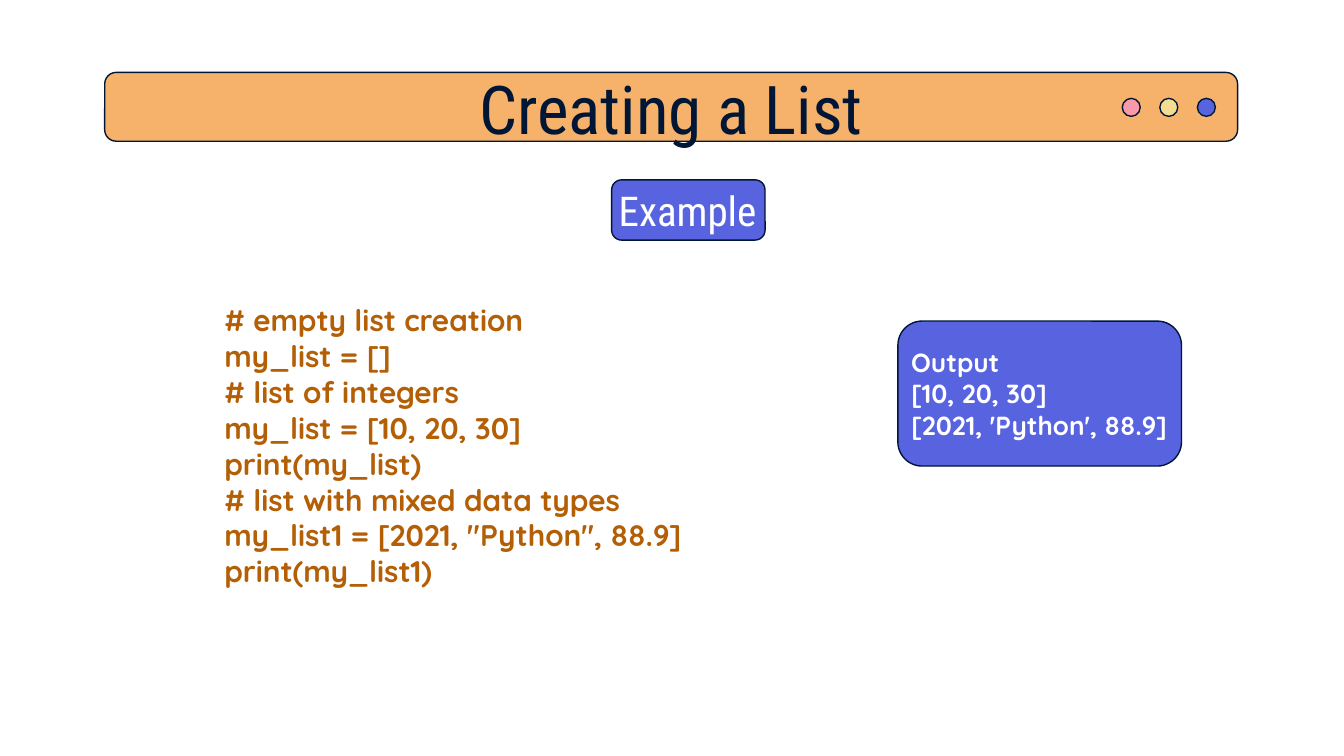
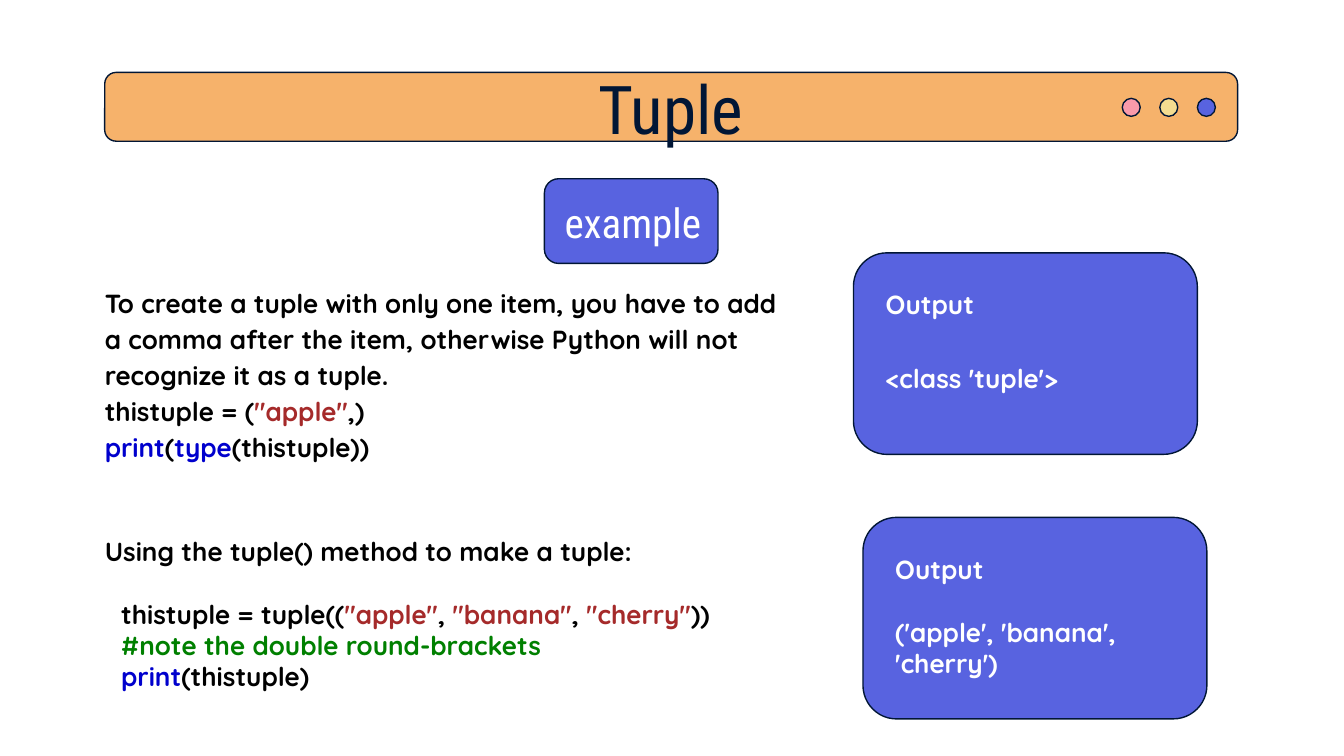
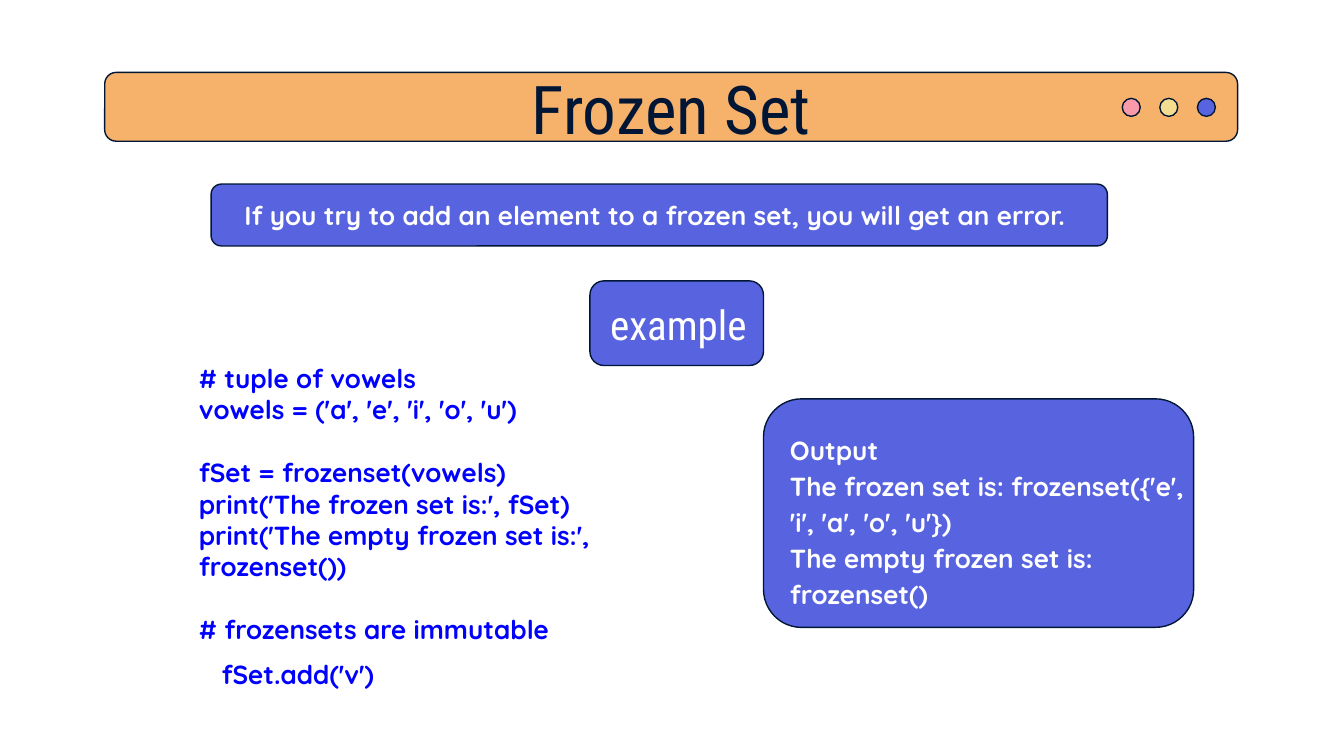
import dataclasses

import pptx
import pptx.dml.color
import pptx.enum.shapes
import pptx.enum.text
import pptx.oxml.ns
import pptx.util
from lxml import etree

Cm = pptx.util.Cm
Pt = pptx.util.Pt
SHAPES = pptx.enum.shapes.MSO_SHAPE
ANCHOR = pptx.enum.text.MSO_ANCHOR
ALIGN = pptx.enum.text.PP_ALIGN


@dataclasses.dataclass(frozen=True)
class Theme:
    """Colours, fonts and type sizes of the deck."""
    ink: str = "011635"
    band: str = "F6B26B"
    panel: str = "5863E0"
    pink: str = "F99AAA"
    yellow: str = "F4DC90"
    white: str = "FFFFFF"
    black: str = "000000"
    brown: str = "B45F06"
    blue: str = "0000FF"
    keyword: str = "0000CD"
    string: str = "A52A2A"
    comment: str = "008000"
    heading_font: str = "Roboto Condensed"
    text_font: str = "Quicksand"
    title_size: int = 36
    label_size: int = 22
    code_size: int = 16
    text_size: int = 14
    outline: float = 0.75
    gap: float = 16.8
    inset: float = 0.25


@dataclasses.dataclass(frozen=True)
class Box:
    """A rectangle in centimetres."""
    left: float
    top: float
    width: float
    height: float

    def inside(self, dx, dy, width, height):
        """Return a box offset from this one's corner."""
        return Box(self.left + dx, self.top + dy, width, height)

    def lengths(self):
        """Return left, top, width and height as lengths."""
        return [Cm(value) for value in dataclasses.astuple(self)]


@dataclasses.dataclass(frozen=True)
class Line:
    """One paragraph: a string, or spans of (text, colour)."""
    content: object
    spacing: float = 1.0
    before: float = 0
    after: float = 0
    indent: float = 0


@dataclasses.dataclass(frozen=True)
class Style:
    """Type and placement of a block of text."""
    font: str
    size: int
    colour: str
    bold: bool = False
    align: object = ALIGN.LEFT
    anchor: object = ANCHOR.TOP
    insets: tuple = (0, 0, 0, 0)
    wrap: bool = True


THEME = Theme()
BAND = Box(1.98, 1.37, 21.41, 1.3)
PADDED = (THEME.inset,) * 4
TITLE = Style(THEME.heading_font, THEME.title_size, THEME.ink,
              align=ALIGN.CENTER, anchor=ANCHOR.MIDDLE)
LABEL = Style(THEME.heading_font, THEME.label_size, THEME.white,
              anchor=ANCHOR.MIDDLE, insets=(0.2, 0, 0, 0), wrap=False)
LABEL_CENTRED = dataclasses.replace(LABEL, align=ALIGN.CENTER, wrap=True)
OUTPUT = Style(THEME.text_font, THEME.text_size, THEME.white, True, insets=PADDED)
NOTE = dataclasses.replace(OUTPUT, align=ALIGN.JUSTIFY, anchor=ANCHOR.MIDDLE,
                           insets=(0.2, 0, 0, 0))
LIST_CODE = dataclasses.replace(OUTPUT, size=THEME.code_size, colour=THEME.brown)
SET_CODE = dataclasses.replace(OUTPUT, colour=THEME.blue)
TUPLE_TEXT = dataclasses.replace(OUTPUT, colour=THEME.black, insets=(0, 0.4, 0, 0))


def rgb(value):
    """Turn a hex string into a colour."""
    return pptx.dml.color.RGBColor.from_string(value)


def place(shape, box):
    """Move and size a shape to a box."""
    shape.left, shape.top, shape.width, shape.height = box.lengths()


def write_line(para, line, style):
    """Fill one paragraph with its spans and format it."""
    para.alignment = style.align
    para.line_spacing = line.spacing
    para.space_before = Pt(line.before)
    para.space_after = Pt(line.after)
    para.font.name = style.font
    para.font.size = Pt(style.size)
    para.font.bold = style.bold
    para.font.color.rgb = rgb(style.colour)
    spans = [(line.content, None)] if isinstance(line.content, str) else line.content
    for text, colour in spans:
        if text == "\n":
            para.add_line_break()
            continue
        span = para.add_run()
        span.text = text
        if colour:
            span.font.color.rgb = rgb(colour)


def clear_bullet(para, indent):
    """Remove the bullet of a paragraph and set its left indent."""
    props = para._p.get_or_add_pPr()
    props.set("marL", str(int(Cm(indent))))
    props.set("indent", "0")
    bullet = etree.Element(pptx.oxml.ns.qn("a:buNone"))
    props.find(pptx.oxml.ns.qn("a:spcAft")).addnext(bullet)


def write(shape, box, lines, style):
    """Place a text shape and write its lines."""
    place(shape, box)
    frame = shape.text_frame
    frame.word_wrap = style.wrap
    frame.auto_size = pptx.enum.text.MSO_AUTO_SIZE.NONE
    frame.vertical_anchor = style.anchor
    (frame.margin_left, frame.margin_top,
     frame.margin_right, frame.margin_bottom) = [Cm(value) for value in style.insets]
    for number, line in enumerate(lines):
        line = line if isinstance(line, Line) else Line(line)
        para = frame.add_paragraph() if number else frame.paragraphs[0]
        write_line(para, line, style)
        clear_bullet(para, line.indent)


def outlined(shapes, kind, box, fill):
    """Add a filled shape with the deck's thin dark outline."""
    shape = shapes.add_shape(kind, *box.lengths())
    shape.shadow.inherit = False
    shape.fill.solid()
    shape.fill.fore_color.rgb = rgb(fill)
    shape.line.color.rgb = rgb(THEME.ink)
    shape.line.width = Pt(THEME.outline)
    return shape


def title_band(page, box, text):
    """Draw the window bar with its three dots and the title on top."""
    outlined(page.shapes, SHAPES.ROUNDED_RECTANGLE, box, THEME.band)
    dots = page.shapes.add_group_shape()
    for number, colour in enumerate((THEME.pink, THEME.yellow, THEME.panel)):
        dot = box.inside(19.23 + 0.71 * number, 0.49, 0.34, 0.34)
        outlined(dots.shapes, SHAPES.OVAL, dot, colour)
    title = page.shapes.title
    write(title, box.inside(1.8, -0.13, 17.81, 1.6), [text], TITLE)
    title.element.getparent().append(title.element)


def panel(page, box, text_box, lines, style):
    """Draw a rounded panel and the text laid over it."""
    outlined(page.shapes, SHAPES.ROUNDED_RECTANGLE, box, THEME.panel)
    write(page.shapes.add_textbox(*text_box.lengths()), text_box, lines, style)


def example_label(page, left, top):
    """Draw the small example label."""
    box = Box(left, top, 3.28, 1.6)
    panel(page, box, box.inside(0.18, 0.23, 2.77, 1.17), ["example"], LABEL)


def new_page(deck, title, body_box, lines, style):
    """Add a slide with the title band and a body of text."""
    page = deck.slides.add_slide(deck.slide_layouts[1])
    title_band(page, BAND, title)
    write(page.placeholders[1], body_box, lines, style)
    return page


def list_page(deck):
    """Build the slide on creating a list."""
    code = ["# empty list creation", "my_list = []", "# list of integers",
            "my_list = [10, 20, 30]", "print(my_list)",
            "# list with mixed data types",
            'my_list1 = [2021, "Python", 88.9]', "print(my_list1)"]
    page = new_page(deck, "Creating a List", Box(3.99, 5.46, 11.99, 5.99),
                    code, LIST_CODE)
    label = Box(11.56, 3.4, 2.9, 1.14)
    panel(page, label, label.inside(-1.98, -0.02, 6.63, 1.17),
          ["Example"], LABEL_CENTRED)
    card = Box(16.97, 6.07, 5.36, 2.74)
    panel(page, card, card.inside(0, 0.23, 6.3, 2.31),
          ["Output", "[10, 20, 30]", "[2021, 'Python', 88.9]"], OUTPUT)


def tuple_page(deck):
    """Build the slide on tuples."""
    keyword, string = THEME.keyword, THEME.string
    lines = [
        Line("To create a tuple with only one item, you have to add a comma after "
             "the item, otherwise Python will not recognize it as a tuple.", 1.15),
        Line([("thistuple = (", None), ('"apple"', string), (",)", None)], 1.15),
        Line([("print", keyword), ("(", None), ("type", keyword),
              ("(thistuple))", None)], 1.15),
        Line("Using the tuple() method to make a tuple:", before=38.6),
        Line([("thistuple = tuple((", None), ('"apple"', string), (", ", None),
              ('"banana"', string), (", ", None), ('"cherry"', string),
              ("))", None), ("\n", None),
              ("#note the double round-brackets", THEME.comment)],
             before=THEME.gap, indent=0.31),
        Line([("print", keyword), ("(thistuple)", None)], indent=0.31),
    ]
    page = new_page(deck, "Tuple", Box(1.98, 4.95, 12.73, 7.95), lines, TUPLE_TEXT)
    example_label(page, 10.29, 3.38)
    results = [
        (16.13, 4.78, 2.31, Line("<class 'tuple'>", 1.36, THEME.gap)),
        (16.31, 9.78, 2.9, Line("('apple', 'banana', 'cherry')", before=THEME.gap)),
    ]
    for left, top, text_height, result in results:
        card = Box(left, top, 6.5, 3.81)
        panel(page, card, card.inside(0.36, 0.43, 6.3, text_height),
              ["Output", result], OUTPUT)


def frozen_set_page(deck):
    """Build the slide on frozen sets."""
    code = ["# tuple of vowels", "vowels = ('a', 'e', 'i', 'o', 'u')",
            Line("fSet = frozenset(vowels)", before=THEME.gap),
            "print('The frozen set is:', fSet)",
            "print('The empty frozen set is:', frozenset())",
            Line("# frozensets are immutable", before=THEME.gap),
            Line("fSet.add('v')", 1.43, after=12, indent=0.43)]
    page = new_page(deck, "Frozen Set", Box(3.51, 6.6, 8.89, 6.5), code, SET_CODE)
    card = Box(14.43, 7.54, 8.13, 4.32)
    results = ["Output", "The frozen set is: frozenset({'e', 'i', 'a', 'o', 'u'})",
               "The empty frozen set is: frozenset()"]
    panel(page, card, card.inside(0.25, 0.33, 8.13, 3.86),
          [Line(result, 1.15) for result in results], OUTPUT)
    note = Box(3.99, 3.48, 16.94, 1.17)
    panel(page, note, note.inside(0.43, -0.18, 16.87, 1.52),
          ["If you try to add an element to a frozen set, you will get an error."],
          NOTE)
    example_label(page, 11.15, 5.31)


def main():
    """Build and save the deck."""
    deck = pptx.Presentation()
    deck.slide_width, deck.slide_height = Cm(25.4), Cm(14.29)
    list_page(deck)
    tuple_page(deck)
    frozen_set_page(deck)
    deck.save("out.pptx")


main()
